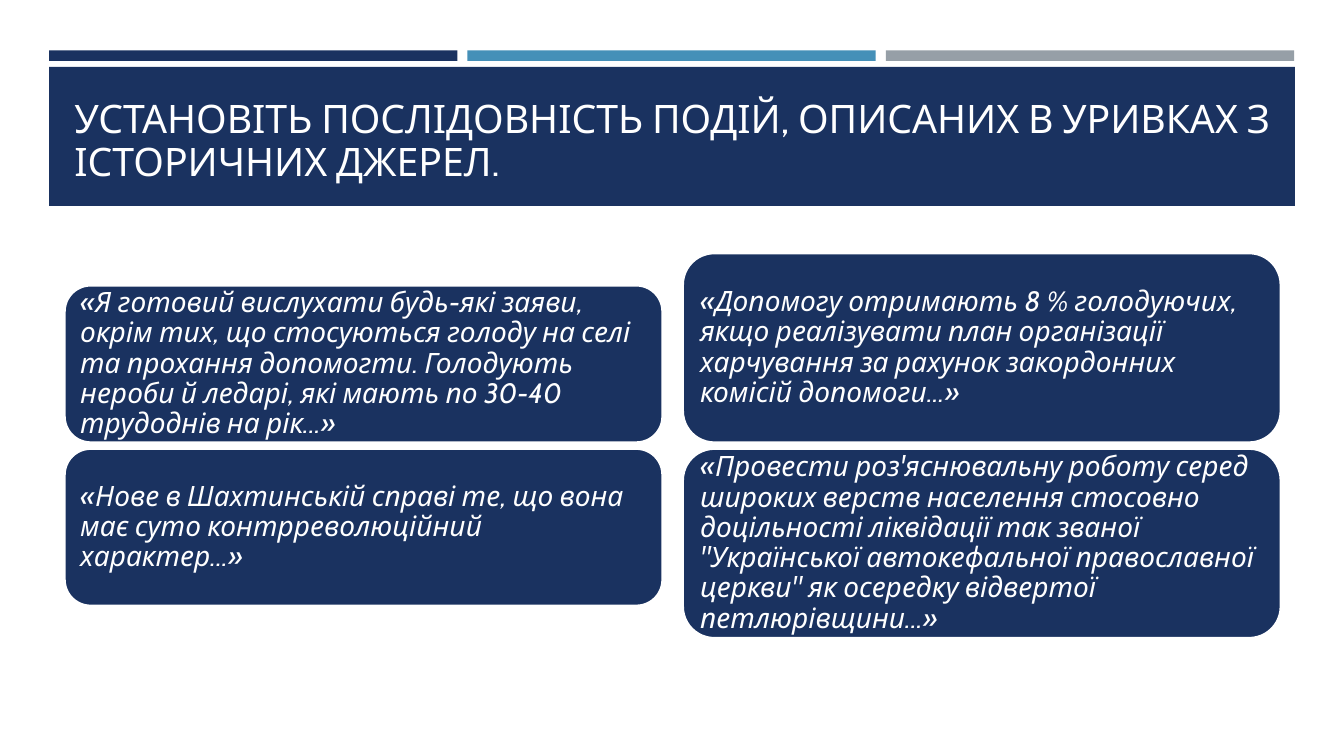
from pptx import Presentation
from pptx import util as u
from pptx.dml.color import RGBColor
from pptx.enum import shapes, text

NAVY, BLUE, GREY, WHITE = "1A3260", "4590B8", "969FA7", "FFFFFF"
RECT = shapes.MSO_SHAPE.RECTANGLE
ROUND = shapes.MSO_SHAPE.ROUNDED_RECTANGLE

TITLE = "УСТАНОВІТЬ ПОСЛІДОВНІСТЬ ПОДІЙ, ОПИСАНИХ В УРИВКАХ З ІСТОРИЧНИХ ДЖЕРЕЛ."

# Each column: left edge, card height, upper and lower quotation
COLUMNS = [
    (4.8, 20.8, [
        "«Я готовий вислухати будь-які заяви, окрім тих, що стосуються голоду "
        "на селі та прохання допомогти. Голодують нероби й ледарі, які мають "
        "по 30-40 трудоднів на рік...»",
        "«Нове в Шахтинській справі те, що вона має суто контрреволюційний "
        "характер...»",
    ]),
    (50.8, 25.07, [
        "«Допомогу отримають 8 % голодуючих, якщо реалізувати план організації "
        "харчування за рахунок закордонних комісій допомоги...»",
        "«Провести роз'яснювальну роботу серед широких верств населення "
        "стосовно доцільності ліквідації так званої \"Української автокефальної "
        "православної церкви\" як осередку відвертої петлюрівщини...»",
    ]),
]


def color(code):
    return RGBColor.from_string(code)


class Deck:
    """Style and current slide; lengths are percentages of the slide's size."""

    font = "Cabin"

    def __init__(self):
        self.prs = Presentation()
        self.prs.slide_width = u.Inches(13.33)
        self.prs.slide_height = u.Inches(7.5)
        self.slide = self.prs.slides.add_slide(self.prs.slide_layouts[6])

    def place(self, x, y, w, h):
        wide, high = self.prs.slide_width, self.prs.slide_height
        return [round(part * size / 100)
                for part, size in zip((x, y, w, h), (wide, high) * 2)]

    def block(self, box, fill, kind=RECT):
        shape = self.slide.shapes.add_shape(kind, *self.place(*box))
        shape.shadow.inherit = False
        shape.fill.solid()
        shape.fill.fore_color.rgb = color(fill)
        shape.line.fill.background()
        return shape

    def label(self, shape, words, size, anchor, italic=False):
        frame = shape.text_frame
        frame.word_wrap = True
        frame.vertical_anchor = anchor
        para = frame.paragraphs[0]
        para.text = words
        para.alignment = text.PP_ALIGN.LEFT
        para.line_spacing = 0.9
        font = para.font
        font.name, font.size, font.italic = self.font, u.Pt(size), italic
        font.color.rgb = color(WHITE)
        return frame

    def title(self, box, words):
        shape = self.slide.shapes.add_textbox(*self.place(*box))
        self.label(shape, words, 28, text.MSO_ANCHOR.BOTTOM)

    def card(self, box, words):
        shape = self.block(box, NAVY, ROUND)
        shape.line.color.rgb = color(WHITE)
        shape.line.width = u.Pt(1.75)
        frame = self.label(shape, words, 20, text.MSO_ANCHOR.MIDDLE, True)
        frame.margin_left = frame.margin_right = u.Inches(0.08)
        frame.margin_top = frame.margin_bottom = u.Inches(0.08)


def main():
    deck = Deck()
    for i, fill in enumerate((NAVY, BLUE, GREY)):
        deck.block((3.65 + 31.13 * i, 6.67, 30.38, 1.4), fill)
    deck.block((3.65, 8.83, 92.7, 18.4), NAVY)
    deck.title((4.8, 10.67, 90.5, 14.4), TITLE)

    middle, gap = 58.95, 0.8
    for left, high, quotes in COLUMNS:
        tops = (middle - gap / 2 - high, middle + gap / 2)
        for top, quote in zip(tops, quotes):
            deck.card((left, top, 44.5, high), quote)
    deck.prs.save("out.pptx")


if __name__ == "__main__":
    main()
